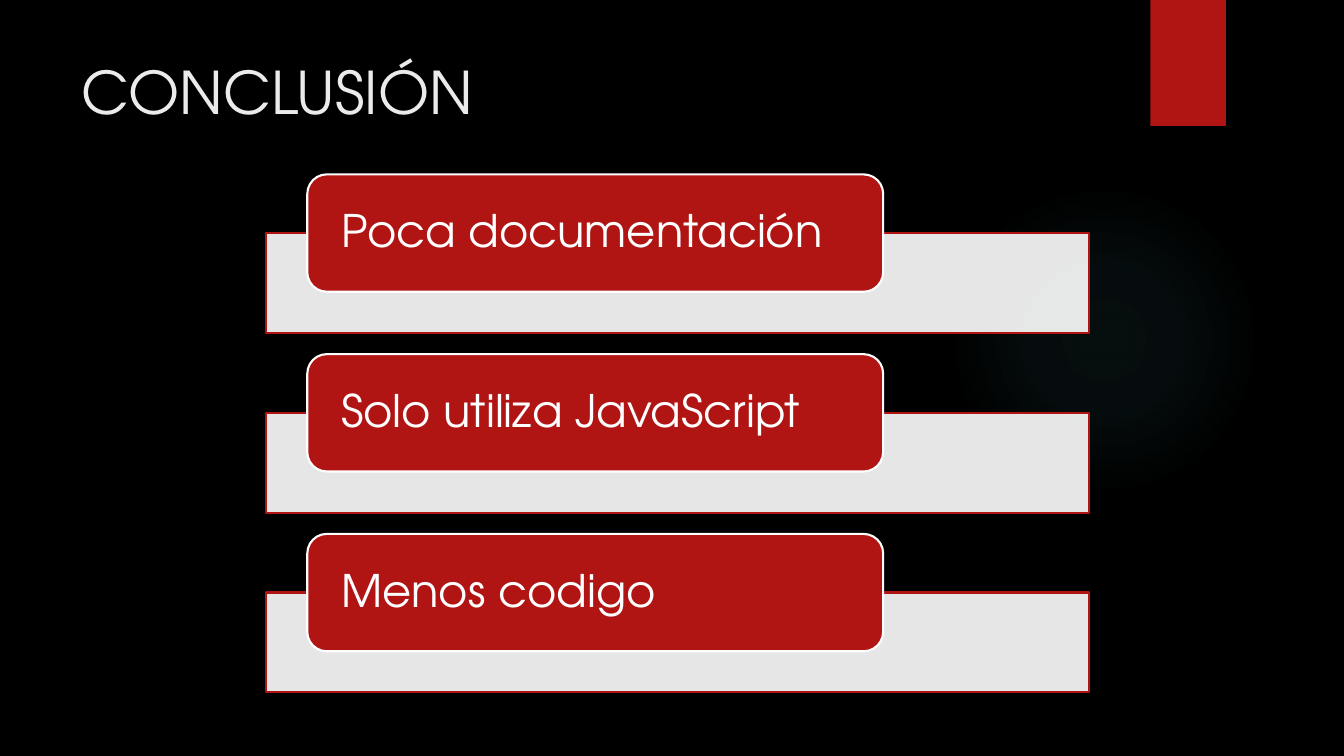
from lxml import etree
from pptx import Presentation
from pptx.dml.color import RGBColor
from pptx.enum.shapes import MSO_SHAPE as Shape
from pptx.enum.text import MSO_ANCHOR as Anchor, PP_ALIGN as Align
from pptx.oxml import parse_xml
from pptx.oxml.ns import nsdecls, qn
from pptx.util import Inches, Pt

COLORS = {"back": "000000", "accent": "B01513", "white": "FFFFFF",
          "title": "EBEBEB", "glow": "50B9C1"}
FONT = "TeX Gyre Adventor"
SLIDE_W, SLIDE_H = 13.33, 7.5
CONCLUSIONS = ["Poca documentación", "Solo utiliza JavaScript", "Menos codigo"]


def rgb(name):
    return RGBColor.from_string(COLORS[name])


def add_block(slide, kind, box, fill, line=None):
    block = slide.shapes.add_shape(kind, *map(Inches, box))
    block.shadow.inherit = False
    block.fill.solid()
    block.fill.fore_color.rgb = rgb(fill)
    if line:
        block.line.color.rgb = rgb(line)
        block.line.width = Pt(1.5)
    else:
        block.line.fill.background()
    return block


def write(frame, text, size, color, **frame_format):
    frame.text = text
    for key, value in {"word_wrap": True, **frame_format}.items():
        setattr(frame, key, value)
    paragraph = frame.paragraphs[0]
    paragraph.alignment = Align.LEFT
    font = paragraph.font
    for key, value in {"name": FONT, "size": Pt(size), "bold": False}.items():
        setattr(font, key, value)
    font.color.rgb = rgb(color)
    return paragraph


def add_glow(slide, box):
    """Place a faint radial light that fades out towards its rim."""
    glow = add_block(slide, Shape.OVAL, box, "glow")
    stops = "".join(
        f'<a:gs pos="{pos * 1000}"><a:srgbClr val="{COLORS["glow"]}">'
        f'<a:alpha val="{alpha * 1000}"/></a:srgbClr></a:gs>'
        for pos, alpha in [(0, 7), (36, 6), (69, 0)])
    gradient = parse_xml(
        f'<a:gradFill {nsdecls("a")} rotWithShape="1"><a:gsLst>{stops}</a:gsLst>'
        '<a:path path="circle"><a:fillToRect l="50000" t="50000" r="50000" b="50000"/>'
        '</a:path></a:gradFill>')
    properties = glow.fill._xPr
    properties.replace(properties.find(qn("a:solidFill")), gradient)


def add_title(slide, box):
    title = slide.shapes.title
    for side, length in zip(("left", "top", "width", "height"), box):
        setattr(title, side, Inches(length))
    write(title.text_frame, "CONCLUSIÓN", 42, "title", vertical_anchor=Anchor.TOP)


def add_conclusion(slide, text, box):
    """Place a pale bar at the foot of the box with a labelled tab over it."""
    left, top, width, height = box
    bar_height = 0.63 * height
    bar = add_block(slide, Shape.RECTANGLE,
                    (left, top + height - bar_height, width, bar_height),
                    "white", "accent")
    color = bar.fill._xPr.find(qn("a:solidFill"))[0]
    etree.SubElement(color, qn("a:alpha"), val="90000")

    tab = add_block(slide, Shape.ROUNDED_RECTANGLE,
                    (left + 0.05 * width, top, 0.7 * width, 0.74 * height),
                    "accent", "white")
    label = write(tab.text_frame, text, 32, "white", vertical_anchor=Anchor.MIDDLE,
                  margin_left=Inches(0.28), margin_right=Inches(0.28),
                  margin_top=0, margin_bottom=0)
    label.line_spacing = 0.9


def add_conclusions(slide, box):
    left, top, width, height = box
    gap = 0.21
    row_height = (height - gap * (len(CONCLUSIONS) - 1)) / len(CONCLUSIONS)
    for row, text in enumerate(CONCLUSIONS):
        row_top = top + row * (row_height + gap)
        add_conclusion(slide, text, (left, row_top, width, row_height))


def main():
    deck = Presentation()
    deck.slide_width, deck.slide_height = Inches(SLIDE_W), Inches(SLIDE_H)
    slide = deck.slides.add_slide(deck.slide_layouts[5])
    slide.background.fill.solid()
    slide.background.fill.fore_color.rgb = rgb("back")
    add_glow(slide, (9.41, 1.83, 3.08, 3.08))
    add_block(slide, Shape.RECTANGLE, (11.41, 0, 0.75, SLIDE_H / 6), "accent")
    add_title(slide, (0.71, 0.5, 10.29, 1.53))
    add_conclusions(slide, (2.64, 1.73, 8.16, 5.14))
    deck.save("out.pptx")


if __name__ == "__main__":
    main()
